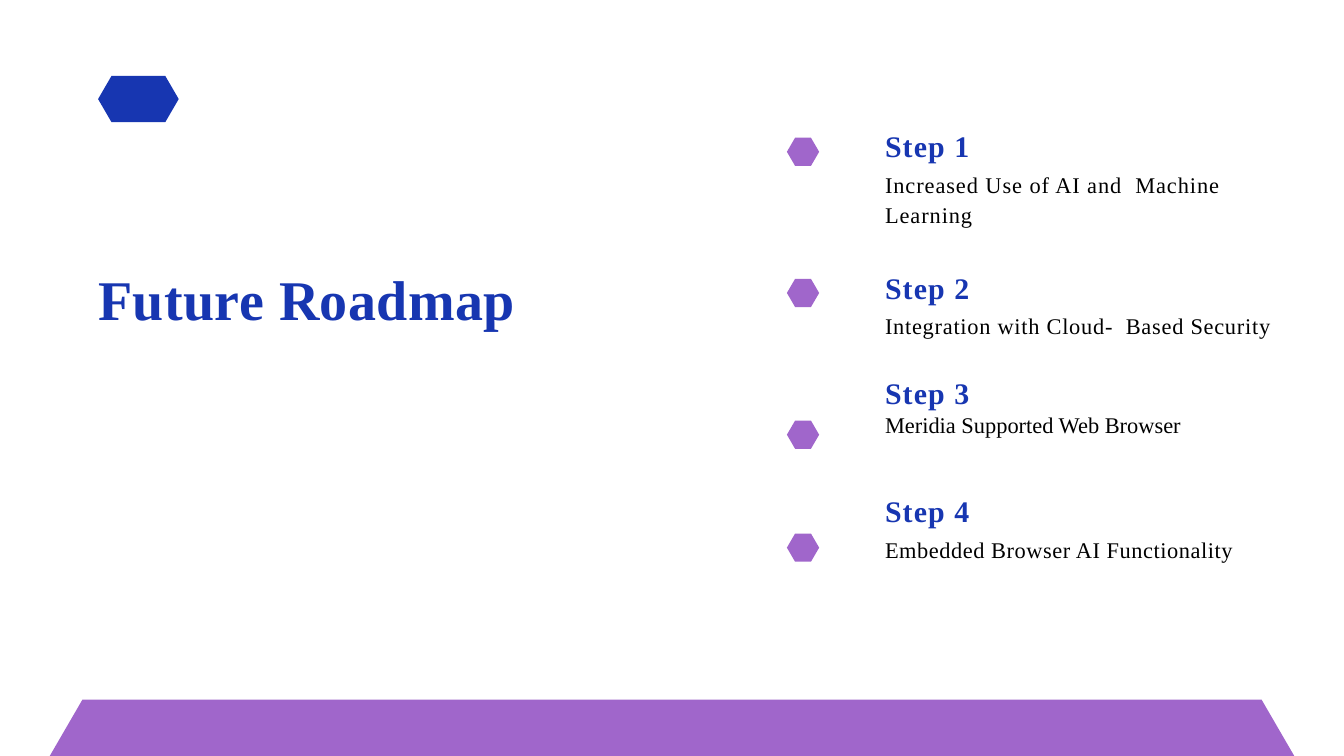
"""Build the Future Roadmap slide: a title, four marked steps and a footer band."""
from pptx import Presentation
from pptx.dml.color import RGBColor
from pptx.enum.shapes import MSO_SHAPE
from pptx.enum.text import MSO_ANCHOR
from pptx.util import Inches, Pt

COLORS = {"blue": "1736B1", "purple": "A066CB", "black": "000000"}
FONT = "Times New Roman"
WIDTH, HEIGHT = Inches(20), Inches(11.25)

TITLE = "Future Roadmap"
STEPS = [
    {"heading": "Step 1", "detail": "Increased Use of AI and  Machine Learning",
     "top": 16.87, "marker": 18.22, "spacing": 1, "leading": 1.15, "before": 3.5},
    {"heading": "Step 2", "detail": "Integration with Cloud-  Based Security",
     "top": 35.63, "marker": 36.89, "spacing": 0.8, "leading": 1.15, "before": 3.5},
    {"heading": "Step 3", "detail": "Meridia Supported Web Browser",
     "top": 49.58, "marker": 55.64, "spacing": 0, "leading": 1, "before": 0.5},
    {"heading": "Step 4", "detail": "Embedded Browser AI Functionality",
     "top": 65.2, "marker": 70.58, "spacing": 0.6, "leading": 1.15, "before": 3.5},
]
MARKER_LEFT, MARKER_SIZE = 58.55, (2.4, 3.73)
STEP_LEFT, STEP_SIZE = 65.85, (30.4, 13)


def share(left, top, width, height):
    """Turn percentages of the slide into lengths."""
    return [int(side * part / 100) for side, part in
            zip((WIDTH, HEIGHT, WIDTH, HEIGHT), (left, top, width, height))]


def add_frame(slide, *place):
    """Add a wrapping text box without margins and return its frame."""
    frame = slide.shapes.add_textbox(*share(*place)).text_frame
    frame.word_wrap = True
    frame.vertical_anchor = MSO_ANCHOR.TOP
    frame.margin_left = frame.margin_top = frame.margin_right = frame.margin_bottom = 0
    return frame


def write(paragraph, text, *, size, color, bold=False, spacing=0, leading=1, before=0):
    """Write one formatted run into a paragraph."""
    paragraph.line_spacing = leading
    paragraph.space_before = Pt(before)
    run = paragraph.add_run()
    run.text = text
    run.font.name = FONT
    run.font.size = Pt(size)
    run.font.bold = bold
    run.font.color.rgb = RGBColor.from_string(COLORS[color])
    run._r.get_or_add_rPr().set("spc", str(round(spacing * 100)))


def add_block(slide, preset, color, slant, *place):
    """Add a plain filled preset shape with slanted sides."""
    block = slide.shapes.add_shape(preset, *share(*place))
    block.adjustments[0] = slant
    block.shadow.inherit = False
    block.fill.solid()
    block.fill.fore_color.rgb = RGBColor.from_string(COLORS[color])
    block.line.fill.background()


def main():
    """Assemble and save the slide."""
    deck = Presentation()
    deck.slide_width, deck.slide_height = WIDTH, HEIGHT
    slide = deck.slides.add_slide(deck.slide_layouts[6])

    title = add_frame(slide, 7.3, 35.05, 35.95, 9)
    write(title.paragraphs[0], TITLE, size=60, color="blue", bold=True, spacing=0.5)

    for step in STEPS:
        frame = add_frame(slide, STEP_LEFT, step["top"], *STEP_SIZE)
        write(frame.paragraphs[0], step["heading"], size=32, color="blue",
              bold=True, spacing=1.2)
        write(frame.add_paragraph(), step["detail"], size=24, color="black",
              spacing=step["spacing"], leading=step["leading"], before=step["before"])
        add_block(slide, MSO_SHAPE.HEXAGON, "purple", 0.29,
                  MARKER_LEFT, step["marker"], *MARKER_SIZE)

    add_block(slide, MSO_SHAPE.TRAPEZOID, "purple", 0.58, 3.7, 92.53, 92.6, 7.47)
    add_block(slide, MSO_SHAPE.HEXAGON, "blue", 0.29, 7.3, 10.04, 6, 6.13)
    deck.save("out.pptx")


if __name__ == "__main__":
    main()
